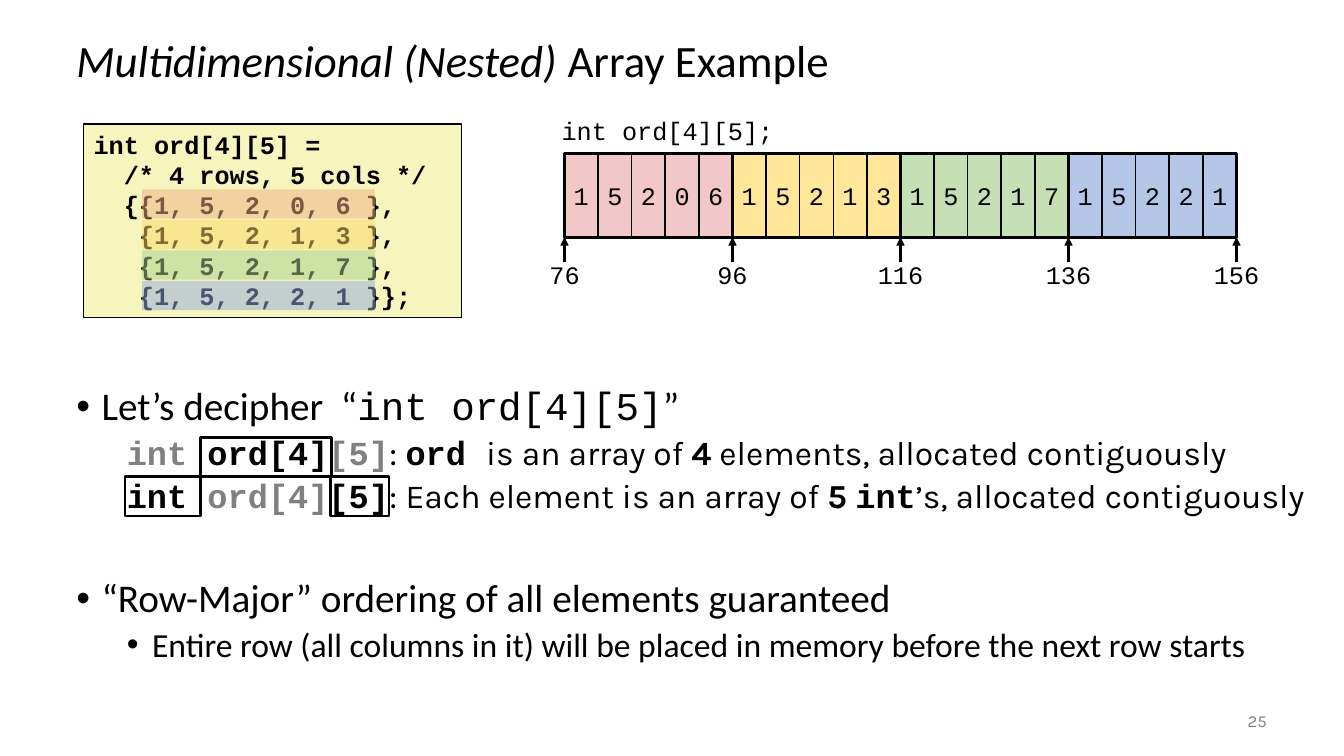
from dataclasses import dataclass, replace

from pptx import Presentation
from pptx.dml.color import RGBColor
from pptx.enum.shapes import MSO_CONNECTOR, MSO_SHAPE
from pptx.enum.text import MSO_ANCHOR, PP_ALIGN
from pptx.oxml.ns import qn
from pptx.util import Inches, Pt
from lxml import etree

RECTANGLE = MSO_SHAPE.RECTANGLE
STRAIGHT = MSO_CONNECTOR.STRAIGHT
TOP, MIDDLE = MSO_ANCHOR.TOP, MSO_ANCHOR.MIDDLE
LEFT, CENTER, RIGHT = PP_ALIGN.LEFT, PP_ALIGN.CENTER, PP_ALIGN.RIGHT

BLACK = RGBColor(0x00, 0x00, 0x00)
GRAY = RGBColor(0x80, 0x80, 0x80)
CODE_FILL = RGBColor(0xF6, 0xF5, 0xBD)
ROSE = RGBColor(0xF1, 0xC7, 0xC7)
YELLOW = RGBColor(0xFF, 0xE6, 0x99)
GREEN = RGBColor(0xC5, 0xE0, 0xB4)
BLUE = RGBColor(0xB4, 0xC7, 0xE7)
ORANGE_BAND = RGBColor(0xF4, 0xB1, 0x83)
YELLOW_BAND = RGBColor(0xFF, 0xD9, 0x66)
GREEN_BAND = RGBColor(0xA9, 0xD1, 0x8E)
BLUE_BAND = RGBColor(0x8F, 0xAA, 0xDC)

SANS, MONO, BODY = "Calibri", "Courier New", "Karla"
COLUMNS, ROWS = 40, 30


@dataclass
class Span:
    text: str
    font: str = SANS
    size: float = 24
    color: RGBColor = BLACK
    bold: bool = False
    italic: bool = False


@dataclass
class Para:
    spans: list
    align: PP_ALIGN = LEFT
    margin: float = 0
    hanging: float = 0
    before: float = 0
    spacing: float = 1.0


class SlideBuilder:
    def __init__(self, deck):
        self.width, self.height = deck.slide_width, deck.slide_height
        self.page = deck.slides.add_slide(deck.slide_layouts[6])

    def x(self, columns):
        return round(self.width * columns / COLUMNS)

    def y(self, rows):
        return round(self.height * rows / ROWS)

    def place(self, left, top, width, height):
        return self.x(left), self.y(top), self.x(width), self.y(height)

    def set_text(self, box, paras, anchor=TOP, margins=True, wrap=True):
        frame = box.text_frame
        frame.word_wrap = wrap
        frame.vertical_anchor = anchor
        if not margins:
            frame.margin_left = frame.margin_right = 0
        for index, para in enumerate(paras):
            line = frame.add_paragraph() if index else frame.paragraphs[0]
            properties = line._p.get_or_add_pPr()
            if para.margin:
                properties.set("marL", str(Inches(para.margin)))
                properties.set("indent", str(-Inches(para.hanging)))
            if para.hanging:
                etree.SubElement(properties, qn("a:buFont")).set("typeface", "Arial")
                etree.SubElement(properties, qn("a:buChar")).set("char", "•")
            line.alignment = para.align
            line.line_spacing = para.spacing
            line.space_before = Pt(para.before)
            for span in para.spans:
                run = line.add_run()
                run.text = span.text
                font = run.font
                font.name, font.size = span.font, Pt(span.size)
                font.bold, font.italic = span.bold, span.italic
                font.color.rgb = span.color

    def text(self, area, paras, **style):
        self.set_text(self.page.shapes.add_textbox(*self.place(*area)), paras, **style)

    def rectangle(self, area, fill=None, line=None, opacity=100):
        box = self.page.shapes.add_shape(RECTANGLE, *self.place(*area))
        box.shadow.inherit = False
        if fill is None:
            box.fill.background()
        else:
            box.fill.solid()
            box.fill.fore_color.rgb = fill
        if opacity < 100:
            color = box.element.spPr.find(qn("a:solidFill"))[0]
            etree.SubElement(color, qn("a:alpha")).set("val", str(opacity * 1000))
        if line is None:
            box.line.fill.background()
        else:
            box.line.color.rgb = BLACK
            box.line.width = Pt(line)
        return box

    def arrow(self, column, start, end):
        arrow = self.page.shapes.add_connector(
            STRAIGHT, self.x(column), self.y(start), self.x(column), self.y(end))
        arrow.line.color.rgb = BLACK
        arrow.line.width = Pt(2)
        outline = arrow.element.spPr.find(qn("a:ln"))
        etree.SubElement(outline, qn("a:tailEnd")).set("type", "triangle")
        etree.SubElement(arrow.element.spPr, qn("a:effectLst"))


def mono(text, size=18, **style):
    return Span(text, MONO, size, **style)


def draw_code(builder):
    code = ["int ord[4][5] =", "  /* 4 rows, 5 cols */", "  {{1, 5, 2, 0, 6 },",
            "   {1, 5, 2, 1, 3 },", "   {1, 5, 2, 1, 7 },", "   {1, 5, 2, 2, 1 }};"]
    box = builder.rectangle((2.49, 4.92, 11.25, 7.68), CODE_FILL, 1)
    builder.set_text(box, [Para([mono(line, bold=True)]) for line in code])
    for index, band in enumerate([ORANGE_BAND, YELLOW_BAND, GREEN_BAND, BLUE_BAND]):
        builder.rectangle((4.23, 7.52 + 1.21 * index, 6.93, 1.16), band, opacity=50)


def draw_memory(builder):
    left, top, height = 16.8, 6.08, 3.33
    matrix = [("15206", ROSE), ("15213", YELLOW), ("15217", GREEN), ("15221", BLUE)]
    size = len(matrix[0][0])
    builder.text((16.02, 4.36, 7.29, 1.6), [Para([mono("int ord[4][5];")], RIGHT)])
    for row, (digits, fill) in enumerate(matrix):
        start = left + row * size
        for offset, digit in enumerate(digits):
            cell = builder.rectangle((start + offset, top, 1, height), fill, 1)
            builder.set_text(cell, [Para([mono(digit)], CENTER)], MIDDLE,
                             margins=False, wrap=False)
    for row in range(len(matrix)):
        builder.rectangle((left + row * size, top, size, height), line=2.25)
    for boundary in range(len(matrix) + 1):
        column = left + boundary * size
        builder.arrow(column, 10.4, top + height)
        address = str(76 + 20 * boundary)
        builder.text((column - 1, 10.08, 2, 1.6), [Para([mono(address)], CENTER)],
                     margins=False)


def draw_explanation(builder):
    strong = Span("", MONO, bold=True)
    faded = replace(strong, color=GRAY)
    plain = Span("", BODY)
    heavy = replace(plain, bold=True)
    top_level = {"margin": 0.25, "hanging": 0.25, "spacing": 0.9}
    detail = {"margin": 0.5, "before": 5, "spacing": 0.9}
    builder.text((1.98, 15.16, 37.38, 11.84), [
        Para([Span("Let’s decipher  “", size=28), mono("int ord[4][5]", 28),
              Span("”", size=28)], **top_level),
        Para([replace(faded, text="int "), replace(strong, text="ord[4]"),
              replace(faded, text="[5]"), Span(": "), replace(strong, text="ord "),
              replace(plain, text="is an array of "), replace(heavy, text="4"),
              replace(plain, text=" elements, allocated contiguously")], **detail),
        Para([replace(strong, text="int "), replace(faded, text="ord[4]"),
              replace(strong, text="[5]"), Span(": "),
              replace(plain, text="Each element is an array of "),
              replace(heavy, text="5 "), replace(strong, text="int"),
              replace(plain, text="’s, allocated contiguously")], **detail),
        Para([Span("“Row-Major” ordering of all elements guaranteed", size=28)],
             before=45, **top_level),
        Para([Span("Entire row (all columns in it) will be placed in memory "
                   "before the next row starts")],
             margin=0.75, hanging=0.25, before=5, spacing=0.9)])
    for left, top, width in [(5.97, 17.36, 3.9), (3.72, 18.92, 2.25), (9.84, 18.92, 1.74)]:
        builder.rectangle((left, top, width, 1.56), line=2)


def main():
    deck = Presentation()
    deck.slide_width, deck.slide_height = Inches(13.33), Inches(7.5)
    builder = SlideBuilder(deck)
    builder.text((1.98, 1, 36, 3), [Para([
        Span("Multidimensional (Nested) ", size=32, italic=True),
        Span("Array Example", size=32)], spacing=0.9)], anchor=MIDDLE)
    draw_code(builder)
    draw_memory(builder)
    draw_explanation(builder)
    builder.text((35, 27.8, 3, 1.6), [Para([Span("25", BODY, 12, GRAY)], RIGHT)], anchor=MIDDLE)
    deck.save("out.pptx")


if __name__ == "__main__":
    main()
